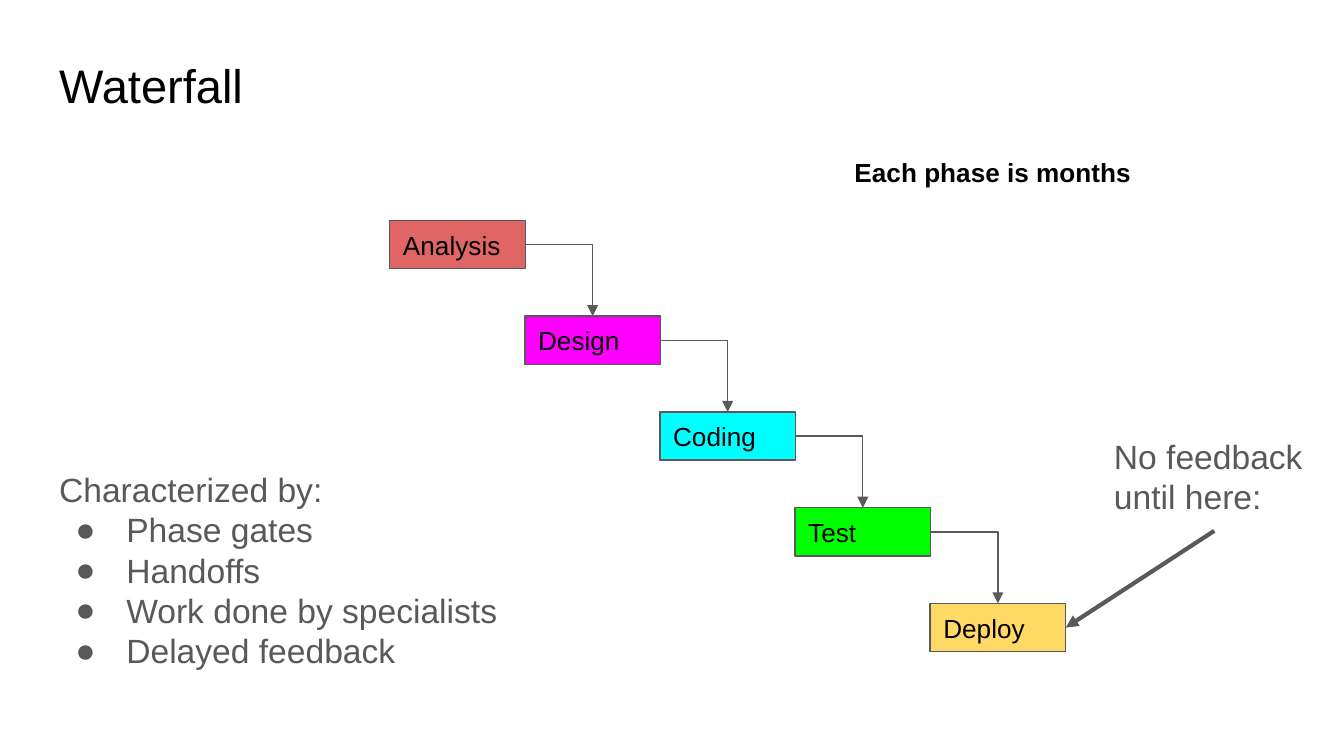
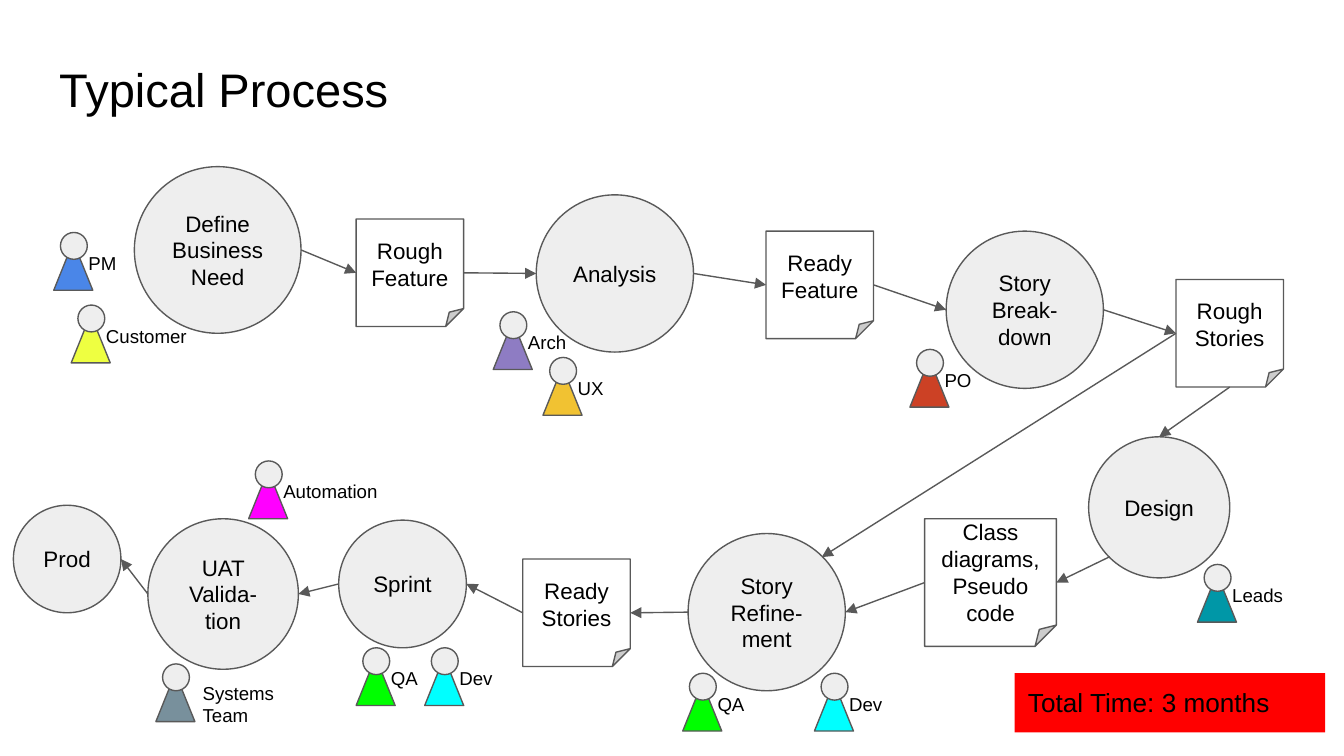
from dataclasses import dataclass

from lxml.etree import SubElement
from pptx import Presentation
from pptx.dml.color import RGBColor
from pptx.enum.shapes import MSO_CONNECTOR, MSO_SHAPE
from pptx.enum.text import MSO_ANCHOR, MSO_AUTO_SIZE, PP_ALIGN
from pptx.oxml.ns import qn
from pptx.util import Inches, Pt

FONT = "Arial"
BLACK = RGBColor(0x00, 0x00, 0x00)
WHITE = RGBColor(0xFF, 0xFF, 0xFF)
GRAY = RGBColor(0x59, 0x59, 0x59)
PALE = RGBColor(0xEE, 0xEE, 0xEE)
RED = RGBColor(0xFF, 0x00, 0x00)
CORAL = RGBColor(0xE0, 0x66, 0x66)
MAGENTA = RGBColor(0xFF, 0x00, 0xFF)
CYAN = RGBColor(0x00, 0xFF, 0xFF)
GREEN = RGBColor(0x00, 0xFF, 0x00)
SAND = RGBColor(0xFF, 0xD9, 0x66)
BLUE = RGBColor(0x4A, 0x86, 0xE8)
YELLOW = RGBColor(0xEE, 0xFF, 0x41)
PURPLE = RGBColor(0x8E, 0x7C, 0xC3)
GOLD = RGBColor(0xF1, 0xC2, 0x32)
BRICK = RGBColor(0xCC, 0x41, 0x25)
TEAL = RGBColor(0x00, 0x97, 0xA7)
SLATE = RGBColor(0x78, 0x90, 0x9C)

SITES = {
    "top": (0.5, 0), "left": (0, 0.5), "bottom": (0.5, 1), "right": (1, 0.5),
    "lower left": (0.15, 0.85), "upper right": (0.85, 0.15),
}


@dataclass
class Box:
    left: float
    top: float
    width: float
    height: float

    def lengths(self):
        return [Inches(n) for n in (self.left, self.top, self.width, self.height)]

    def site(self, name):
        across, down = SITES[name]
        return self.left + across * self.width, self.top + down * self.height


def write(frame, lines, size, colour=BLACK, bold=False, align=PP_ALIGN.LEFT,
          anchor=MSO_ANCHOR.TOP, fit=MSO_AUTO_SIZE.NONE):
    frame.word_wrap = True
    frame.auto_size = fit
    frame.vertical_anchor = anchor
    frame.margin_left = frame.margin_right = Inches(0.1)
    frame.margin_top = frame.margin_bottom = Inches(0.1)
    for index, line in enumerate(lines):
        para = frame.add_paragraph() if index else frame.paragraphs[0]
        para.alignment = align
        para.space_before = para.space_after = Pt(0)
        for number, piece in enumerate(line.split("\n")):
            if number:
                para.add_line_break()
            span = para.add_run()
            span.text = piece
            span.font.name = FONT
            span.font.size = Pt(size)
            span.font.bold = bold
            span.font.color.rgb = colour


def add_title(page, text, top):
    title = page.shapes.title
    title.left, title.top, title.width, title.height = Box(0.34, top, 9.32, 0.63).lengths()
    write(title.text_frame, [text], 25.2)


def add_label(shapes, box, text, size, colour=BLACK, bold=False):
    label = shapes.add_textbox(*box.lengths())
    write(label.text_frame, [text], size, colour, bold, fit=MSO_AUTO_SIZE.SHAPE_TO_FIT_TEXT)


def add_form(shapes, kind, box, fill, outlined=True):
    form = shapes.add_shape(kind, *box.lengths())
    form.shadow.inherit = False
    form.fill.solid()
    form.fill.fore_color.rgb = fill
    if outlined:
        form.line.color.rgb = GRAY
        form.line.width = Pt(0.75)
    else:
        form.line.fill.background()
    return form


def add_arrow(page, start, end, weight=0.75, bent=False):
    kind = MSO_CONNECTOR.ELBOW if bent else MSO_CONNECTOR.STRAIGHT
    arrow = page.shapes.add_connector(kind, *[Inches(n) for n in (*start, *end)])
    arrow.line.color.rgb = GRAY
    arrow.line.width = Pt(weight)
    properties = arrow._element.spPr
    if bent:
        properties.find(qn("a:prstGeom")).set("prst", "bentConnector2")
    SubElement(properties.find(qn("a:ln")), qn("a:tailEnd"), type="triangle")
    SubElement(properties, qn("a:effectLst"))


def add_traits(page, box, heading, traits):
    body = page.placeholders[1]
    body.left, body.top, body.width, body.height = box.lengths()
    write(body.text_frame, [heading, *traits], 18, GRAY)
    for index, para in enumerate(body.text_frame.paragraphs):
        properties = para._p.get_or_add_pPr()
        properties.set("marL", str(Inches(0.5) if index else 0))
        properties.set("indent", str(Inches(-0.38) if index else 0))
        if index:
            colour = SubElement(properties, qn("a:buClr"))
            SubElement(colour, qn("a:srgbClr"), val=str(GRAY))
            SubElement(properties, qn("a:buFont"), typeface=FONT)
            SubElement(properties, qn("a:buChar"), char="●")
        else:
            SubElement(properties, qn("a:buNone"))


def add_cascade(page, area, phases):
    width, height = 1.01, 0.36
    steps = len(phases) - 1
    across = (area.width - width) / steps
    down = (area.height - height) / steps
    boxes = [Box(area.left + i * across, area.top + i * down, width, height)
             for i in range(len(phases))]
    for box, (name, colour) in zip(boxes, phases):
        form = add_form(page.shapes, MSO_SHAPE.RECTANGLE, box, colour)
        write(form.text_frame, [name], 14, anchor=MSO_ANCHOR.MIDDLE)
    for box, following in zip(boxes, boxes[1:]):
        add_arrow(page, box.site("right"), following.site("top"), bent=True)
    return boxes[-1]


def add_person(page, left, top, colour, role, width=0.88, shift=(0.16, -0.01), height=0.37):
    person = page.shapes.add_group_shape().shapes
    add_form(person, MSO_SHAPE.ISOSCELES_TRIANGLE, Box(left, top, 0.29, 0.36), colour)
    add_form(person, MSO_SHAPE.OVAL, Box(left + 0.05, top - 0.07, 0.2, 0.2), PALE)
    add_label(person, Box(left + shift[0], top + shift[1], width, height), role, 10)


def add_stage(page, kind, box, text):
    fill = PALE if kind == MSO_SHAPE.OVAL else WHITE
    form = add_form(page.shapes, kind, box, fill)
    write(form.text_frame, [text], 12, align=PP_ALIGN.CENTER, anchor=MSO_ANCHOR.MIDDLE)


def waterfall_page(deck):
    page = deck.slides.add_slide(deck.slide_layouts[1])
    add_title(page, "Waterfall", 0.32)
    last = add_cascade(page, Box(2.9, 1.64, 5.03, 3.21), [
        ("Analysis", CORAL), ("Design", MAGENTA), ("Coding", CYAN),
        ("Test", GREEN), ("Deploy", SAND),
    ])
    add_label(page.shapes, Box(6.26, 1.06, 2.33, 0.45), "Each phase is months", 14, bold=True)
    add_traits(page, Box(0.34, 3.39, 3.8, 1.72), "Characterized by:", [
        "Phase gates", "Handoffs", "Work done by specialists", "Delayed feedback",
    ])
    note = Box(8.19, 3.14, 1.69, 0.81)
    add_label(page.shapes, note, "No feedback until here:", 18, GRAY)
    add_arrow(page, note.site("bottom"), last.site("right"), 2.25)


def process_page(deck):
    page = deck.slides.add_slide(deck.slide_layouts[5])
    add_title(page, "Typical Process", 0.35)

    activities = {
        "Define Business Need": (1, 1.24, 1.24),
        "Analysis": (3.99, 1.45, 1.17),
        "Story Break-\ndown": (7.04, 1.72, 1.17),
        "Design": (8.1, 3.25, 1.05),
        "Story Refine-\nment": (5.12, 3.97, 1.17),
        "Sprint": (2.52, 3.87, 0.95),
        "UAT Valida-\ntion": (1.1, 3.86, 1.12),
        "Prod": (0.1, 3.76, 0.8),
    }
    documents = {
        "Rough Feature": (2.65, 1.63, 0.8, 0.8),
        "Ready Feature": (5.7, 1.72, 0.8, 0.8),
        "Rough Stories": (8.75, 2.08, 0.8, 0.8),
        "Class diagrams, Pseudo code": (6.88, 3.86, 0.98, 0.95),
        "Ready Stories": (3.89, 4.16, 0.8, 0.8),
    }
    circles = {name: Box(left, top, size, size)
               for name, (left, top, size) in activities.items()}
    sheets = {name: Box(*place) for name, place in documents.items()}
    for kind, group in ((MSO_SHAPE.OVAL, circles), (MSO_SHAPE.FOLDED_CORNER, sheets)):
        for name, box in group.items():
            add_stage(page, kind, box, name)

    stages = circles | sheets
    forward = ["Define Business Need", "Rough Feature", "Analysis", "Ready Feature",
               "Story Break-\ndown", "Rough Stories"]
    backward = ["Class diagrams, Pseudo code", "Story Refine-\nment", "Ready Stories",
                "Sprint", "UAT Valida-\ntion", "Prod"]
    flows = [(a, "right", b, "left") for a, b in zip(forward, forward[1:])]
    flows += [(a, "left", b, "right") for a, b in zip(backward, backward[1:])]
    flows += [
        ("Rough Stories", "bottom", "Design", "top"),
        ("Design", "lower left", "Class diagrams, Pseudo code", "right"),
        ("Rough Stories", "left", "Story Refine-\nment", "upper right"),
    ]
    for source, leaving, target, entering in flows:
        add_arrow(page, stages[source].site(leaving), stages[target].site(entering))

    for person in [
        (0.4, 1.8, BLUE, "PM", 0.44),
        (0.53, 2.34, YELLOW, "Customer", 0.82),
        (3.67, 2.39, PURPLE, "Arch", 0.49),
        (4.04, 2.73, GOLD, "UX", 0.49),
        (6.77, 2.67, BRICK, "PO", 0.49),
        (8.91, 4.27, TEAL, "Leads"),
        (6.06, 5.08, CYAN, "Dev"),
        (3.16, 4.89, CYAN, "Dev"),
        (1.16, 5.01, SLATE, "Systems Team", 0.88, (0.25, -0.04), 0.54),
        (5.08, 5.08, GREEN, "QA"),
        (2.65, 4.89, GREEN, "QA"),
        (1.85, 3.5, MAGENTA, "Automation", 0.98),
    ]:
        add_person(page, *person)

    total = add_form(page.shapes, MSO_SHAPE.RECTANGLE, Box(7.55, 5.01, 2.31, 0.44), RED, False)
    write(total.text_frame, ["Total Time: 3 months"], 14, fit=MSO_AUTO_SIZE.SHAPE_TO_FIT_TEXT)


def main():
    deck = Presentation()
    deck.slide_width = Inches(10)
    deck.slide_height = Inches(10 * 9 / 16)
    waterfall_page(deck)
    process_page(deck)
    deck.save("out.pptx")


if __name__ == "__main__":
    main()
